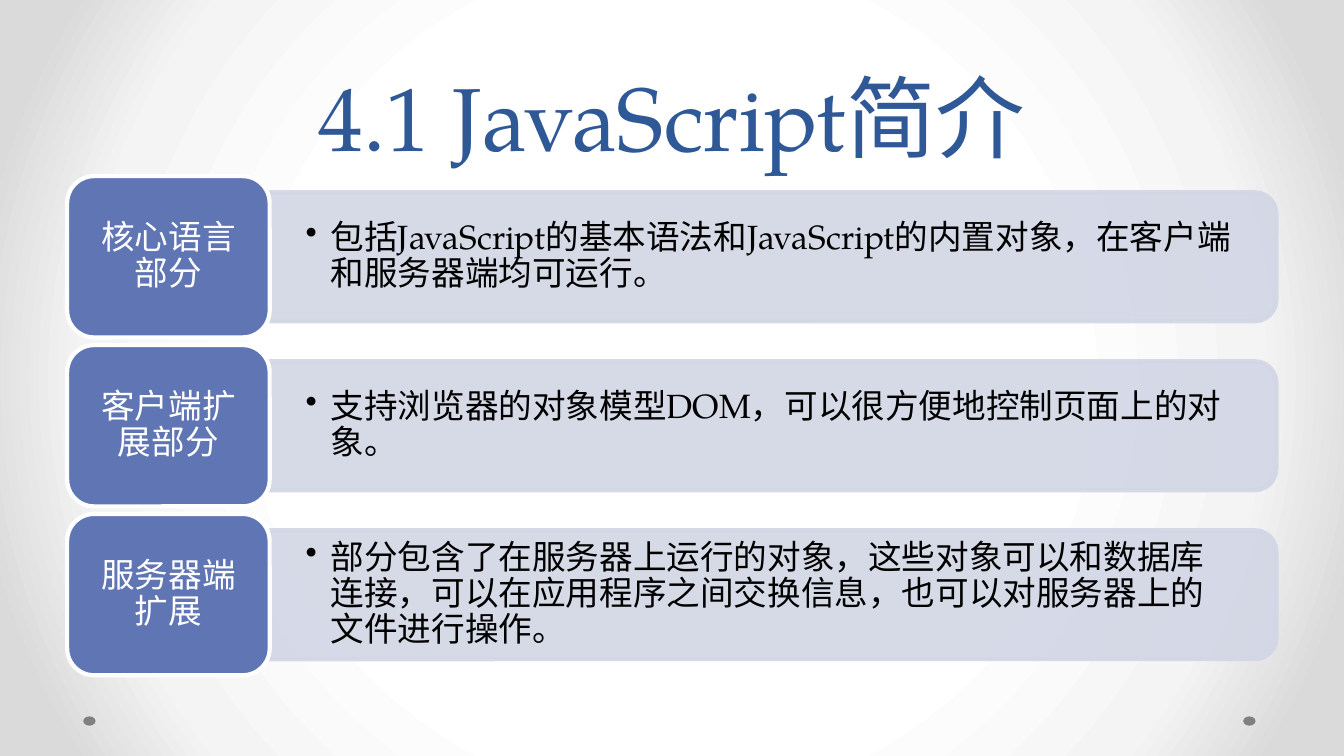
"""Build the JavaScript introduction slide with three labelled rows."""
from lxml import etree
from pptx import Presentation
from pptx.dml.color import RGBColor
from pptx.enum import shapes, text
from pptx.oxml.ns import qn
from pptx.util import Pt

TITLE = "4.1 JavaScript简介"
ROWS = [
    ("核心语言部分", "包括JavaScript的基本语法和JavaScript的内置对象，在客户端和服务器端均可运行。"),
    ("客户端扩展部分", "支持浏览器的对象模型DOM，可以很方便地控制页面上的对象。"),
    ("服务器端扩展", "部分包含了在服务器上运行的对象，这些对象可以和数据库连接，"
                 "可以在应用程序之间交换信息，也可以对服务器上的文件进行操作。"),
]
BACKDROP = [(50, "FFFFFF"), (76, "F4F4F4"), (92, "DADADA")]

FONT = "TeX Gyre Pagella"
NAVY = RGBColor(0x2F, 0x58, 0x97)
BLUE = RGBColor(0x60, 0x76, 0xB4)
PALE = RGBColor(0xD2, 0xD6, 0xE5)
GREY = RGBColor(0x80, 0x80, 0x80)
WHITE = RGBColor(0xFF, 0xFF, 0xFF)
BLACK = RGBColor(0, 0, 0)

LEFT, TOP, PITCH = 36, 94.4, 90.5
LABEL_WIDTH, LABEL_HEIGHT = 108.5, 86.4
PANEL_WIDTH, PANEL_HEIGHT = 539.3, 69.1
TEXT_WIDTH, TEXT_HEIGHT = 536.4, 62
DOT_LEFTS, DOT_TOP, DOT_WIDTH, DOT_HEIGHT = (666, 44.6), 383.8, 6.6, 5


def paint_backdrop(page):
    page.background.fill.gradient()
    gradient = next(page._element.iter(qn("a:gradFill")))
    for child in list(gradient):
        gradient.remove(child)
    stops = etree.SubElement(gradient, qn("a:gsLst"))
    for position, colour in BACKDROP:
        stop = etree.SubElement(stops, qn("a:gs"), pos=str(position * 1000))
        etree.SubElement(stop, qn("a:srgbClr"), val=colour)
    shade = etree.SubElement(gradient, qn("a:path"), path="circle")
    etree.SubElement(shade, qn("a:fillToRect"), l="50000", t="50000", r="50000", b="50000")


def add_shape(page, kind, left, top, width, height, fill, line=None):
    shape = page.shapes.add_shape(kind, Pt(left), Pt(top), Pt(width), Pt(height))
    shape.shadow.inherit = False
    shape.fill.solid()
    shape.fill.fore_color.rgb = fill
    if line is None:
        shape.line.fill.background()
    else:
        shape.line.color.rgb = line
        shape.line.width = Pt(2.25)
    return shape


def write(shape, words, size, colour, spacing, align, anchor, margins, bullet=False):
    frame = shape.text_frame
    frame.word_wrap = True
    frame.auto_size = text.MSO_AUTO_SIZE.NONE
    frame.vertical_anchor = anchor
    frame.margin_left = frame.margin_right = Pt(margins[0])
    frame.margin_top = frame.margin_bottom = Pt(margins[1])
    para = frame.paragraphs[0]
    para.text = words
    para.alignment = align
    para.line_spacing = spacing
    if bullet:
        properties = para._p.get_or_add_pPr()
        properties.set("marL", str(Pt(13.5)))
        properties.set("indent", str(-Pt(13.5)))
        etree.SubElement(properties, qn("a:buChar"), char="•")
    para.font.name = FONT
    para.font.size = Pt(size)
    para.font.color.rgb = colour


def add_row(page, index, label, detail):
    top = TOP + index * PITCH
    middle = top + LABEL_HEIGHT / 2
    text_left = LEFT + LABEL_WIDTH
    panel = add_shape(page, shapes.MSO_SHAPE.ROUND_2_SAME_RECTANGLE,
                      text_left + (PANEL_WIDTH - PANEL_HEIGHT) / 2, middle - PANEL_WIDTH / 2,
                      PANEL_HEIGHT, PANEL_WIDTH, PALE, PALE)
    panel.rotation = 90
    for colour in panel._element.spPr.iter(qn("a:srgbClr")):
        etree.SubElement(colour, qn("a:alpha"), val="90000")
    box = page.shapes.add_textbox(Pt(text_left), Pt(middle - TEXT_HEIGHT / 2),
                                  Pt(TEXT_WIDTH), Pt(TEXT_HEIGHT))
    write(box, detail, 18, BLACK, 0.9, text.PP_ALIGN.LEFT,
          text.MSO_ANCHOR.MIDDLE, (19.2, 9.6), bullet=True)
    tab = add_shape(page, shapes.MSO_SHAPE.ROUNDED_RECTANGLE, LEFT, top,
                    LABEL_WIDTH, LABEL_HEIGHT, BLUE, WHITE)
    write(tab, label, 18, WHITE, 0.9, text.PP_ALIGN.CENTER, text.MSO_ANCHOR.MIDDLE, (9.4, 7))


def main():
    deck = Presentation()
    deck.slide_width, deck.slide_height = Pt(720), Pt(405)
    page = deck.slides.add_slide(deck.slide_layouts[5])
    paint_backdrop(page)
    for left in DOT_LEFTS:
        add_shape(page, shapes.MSO_SHAPE.OVAL, left, DOT_TOP, DOT_WIDTH, DOT_HEIGHT, GREY)
    title = page.shapes.title
    title.left, title.top, title.width, title.height = Pt(36), Pt(0), Pt(648), Pt(94.4)
    write(title, TITLE, 48, NAVY, Pt(58), text.PP_ALIGN.CENTER,
          text.MSO_ANCHOR.BOTTOM, (7.2, 3.6))
    for index, (label, detail) in enumerate(ROWS):
        add_row(page, index, label, detail)
    deck.save("out.pptx")


if __name__ == "__main__":
    main()
